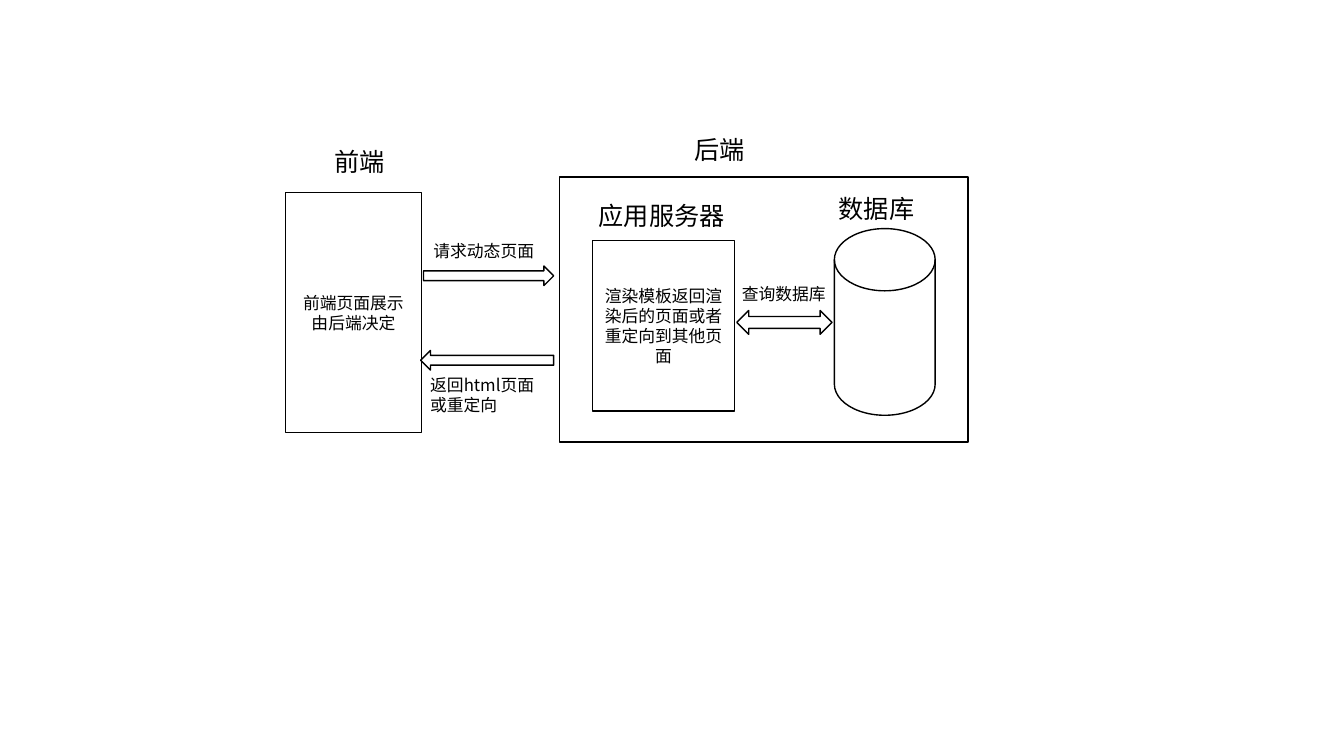
import pptx
import pptx.dml.color
import pptx.enum.shapes
import pptx.enum.text
import pptx.oxml
import pptx.oxml.ns
import pptx.util

Pt = pptx.util.Pt
SHAPE = pptx.enum.shapes.MSO_SHAPE
ALIGN = pptx.enum.text.PP_ALIGN
FONT = "Noto Sans CJK SC"


def color(value):
    return pptx.dml.color.RGBColor.from_string(value)


def write(frame, text, size, align):
    paragraph = frame.paragraphs[0]
    paragraph.text = text
    paragraph.alignment = align
    paragraph.font.size = Pt(size)
    paragraph.font.name = FONT
    paragraph.font.color.rgb = color("000000")
    # East Asian characters take their typeface from a separate element
    defaults = paragraph._p.pPr.find(pptx.oxml.ns.qn("a:defRPr"))
    east_asian = pptx.oxml.parse_xml(
        f'<a:ea {pptx.oxml.ns.nsdecls("a")} typeface="{FONT}"/>')
    defaults.append(east_asian)


presentation = pptx.Presentation()
presentation.slide_width = Pt(960)
presentation.slide_height = Pt(540)
slide = presentation.slides.add_slide(presentation.slide_layouts[6])

# Boxes, database and arrows: kind, left, top, width, height, rotation, text
outlines = [
    (SHAPE.FLOWCHART_PROCESS, 204, 137.5, 97, 171.5, 0, "前端页面展示由后端决定"),
    (SHAPE.RECTANGLE, 399.5, 126.3, 292, 189.5, 0, ""),
    (SHAPE.FLOWCHART_PROCESS, 423.2, 171.8, 101.5, 121.8, 0,
     "渲染模板返回渲染后的页面或者重定向到其他页面"),
    (SHAPE.FLOWCHART_MAGNETIC_DISK, 596, 163.3, 72, 133.3, 0, ""),
    (SHAPE.LEFT_RIGHT_ARROW, 526.3, 221.8, 68, 17, 0, ""),
    (SHAPE.RIGHT_ARROW, 302.5, 190, 93, 14, 0, ""),
    (SHAPE.RIGHT_ARROW, 300.5, 250.3, 95, 14, 180, ""),
]
for kind, left, top, width, height, rotation, text in outlines:
    shape = slide.shapes.add_shape(kind, Pt(left), Pt(top), Pt(width), Pt(height))
    shape.rotation = rotation
    shape.shadow.inherit = False
    shape.fill.solid()
    shape.fill.fore_color.rgb = color("FFFFFF")
    shape.line.color.rgb = color("000000")
    shape.line.width = Pt(1)
    if text:
        shape.text_frame.vertical_anchor = pptx.enum.text.MSO_ANCHOR.MIDDLE
        write(shape.text_frame, text, 12, ALIGN.CENTER)

# Headings and arrow labels: text, left, top, width, height, size, wrap
labels = [
    ("前端", 231.2, 101, 51, 29, 18, False),
    ("后端", 488.5, 92.5, 51, 29, 18, False),
    ("应用服务器", 420.5, 139.3, 111.5, 29, 18, True),
    ("数据库", 592, 134.2, 75.5, 29, 18, True),
    ("请求动态页面", 302.5, 168.5, 96.5, 21.8, 12, True),
    ("返回html页面或重定向", 300.2, 264.2, 90.7, 36.3, 12, True),
    ("查询数据库", 522.8, 199.3, 82, 21.8, 12, True),
]
for text, left, top, width, height, size, wrap in labels:
    box = slide.shapes.add_textbox(Pt(left), Pt(top), Pt(width), Pt(height))
    box.text_frame.word_wrap = wrap
    box.text_frame.auto_size = pptx.enum.text.MSO_AUTO_SIZE.SHAPE_TO_FIT_TEXT
    write(box.text_frame, text, size, ALIGN.LEFT if wrap else ALIGN.CENTER)

presentation.save("out.pptx")
